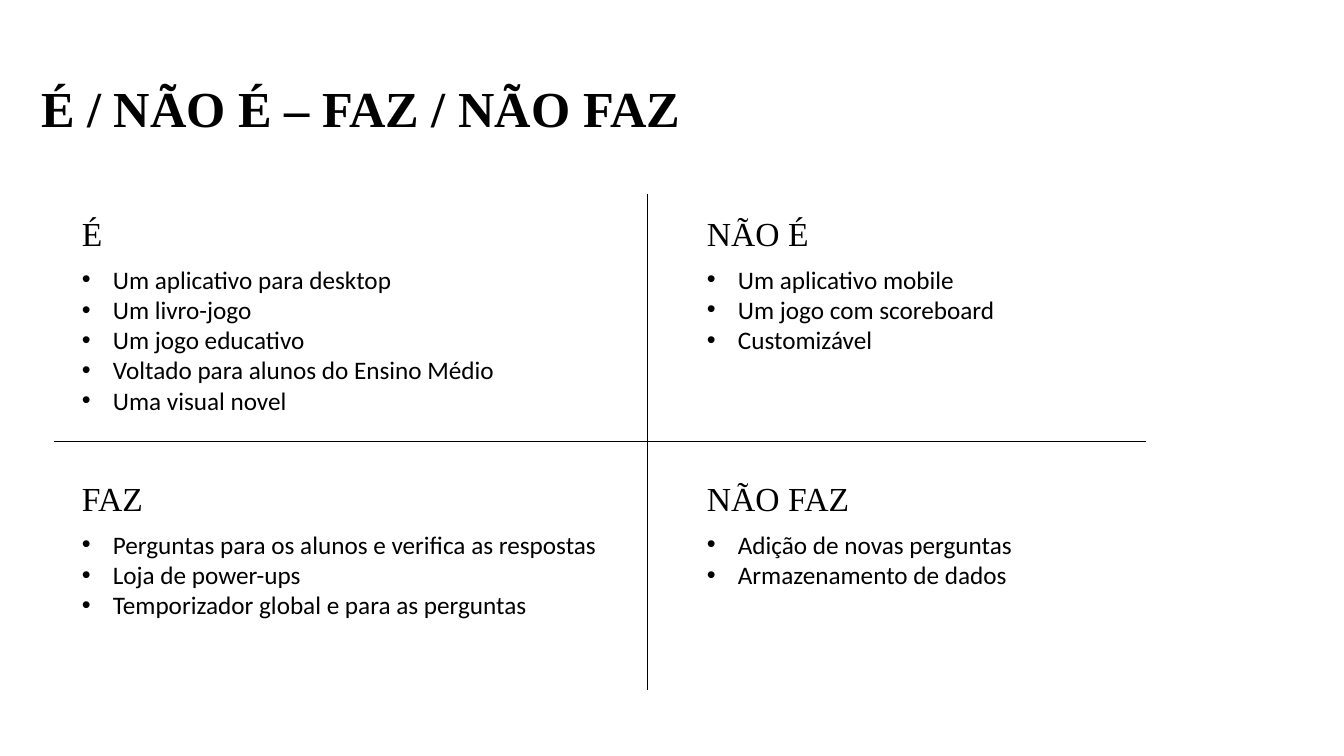
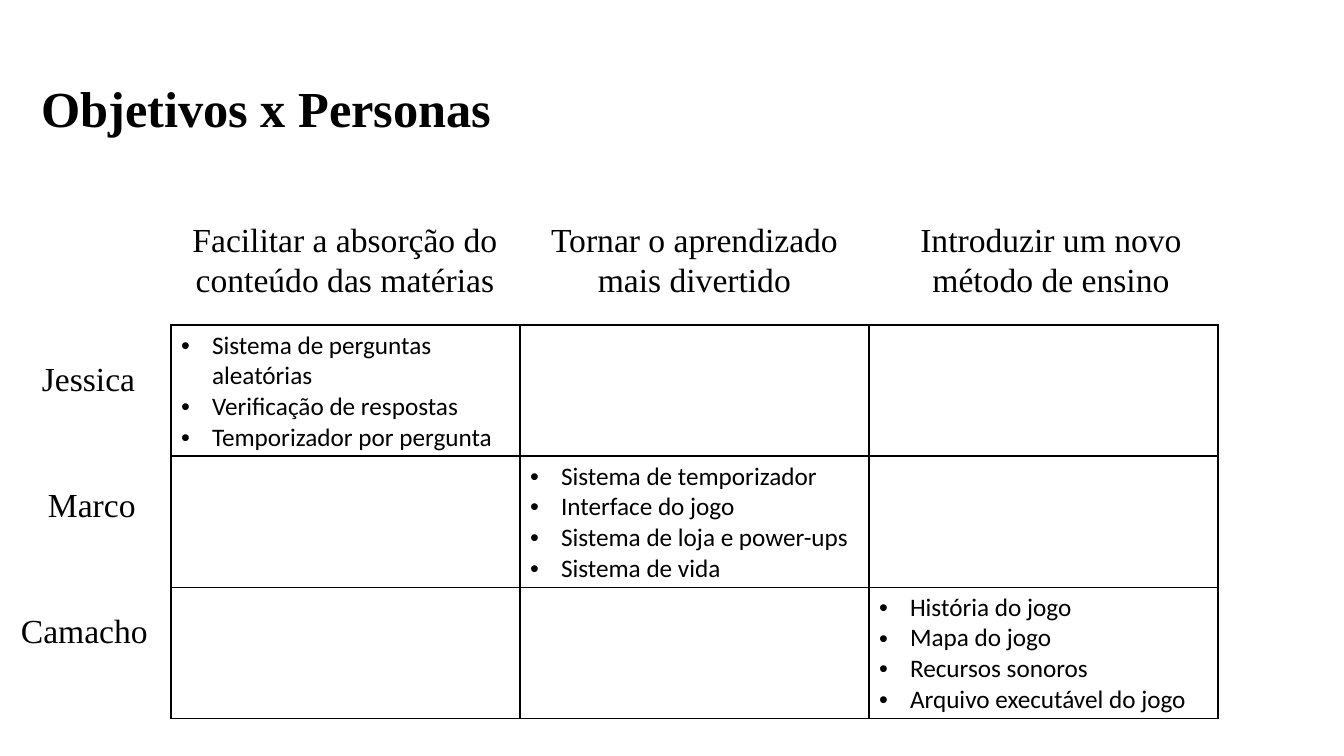
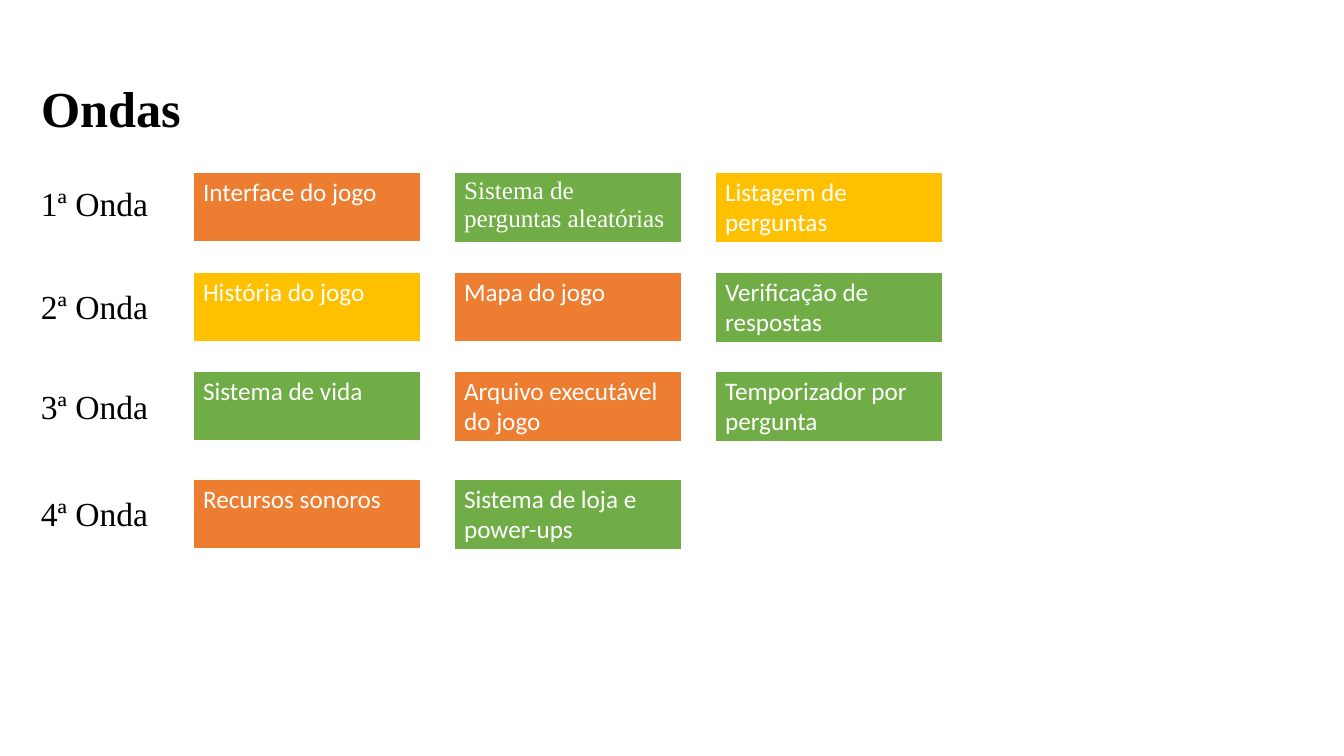
import dataclasses

import pptx
import pptx.dml.color
import pptx.enum.shapes
import pptx.enum.text
import pptx.oxml.ns
import pptx.util
from lxml import etree

EMU_PER_PX = 914400 / 100.8
ALIGN = pptx.enum.text.PP_ALIGN
ANCHOR = pptx.enum.text.MSO_ANCHOR
AUTO = pptx.enum.text.MSO_AUTO_SIZE


@dataclasses.dataclass(frozen=True)
class Theme:
    black: str = "000000"
    white: str = "FFFFFF"
    orange: str = "ED7D31"
    green: str = "70AD47"
    yellow: str = "FFC000"
    serif: str = "Times New Roman"
    sans: str = "Calibri"
    title: int = 36
    heading: int = 24
    body: int = 18
    rule: float = 0.5
    border: int = 1


T = Theme()


# Basic helpers
def px(n):
    return pptx.util.Emu(round(n * EMU_PER_PX))


def rgb(value):
    return pptx.dml.color.RGBColor.from_string(value)


def assign(obj, values):
    for name, value in values.items():
        setattr(obj, name, value)


def sub(parent, tag, **attrs):
    return etree.SubElement(parent, pptx.oxml.ns.qn(tag), attrs)


def add_bullet(p):
    pPr = p._p.get_or_add_pPr()
    indent = px(31)
    pPr.set("marL", str(indent))
    pPr.set("indent", str(-indent))
    sub(pPr, "a:buFont", typeface="Arial")
    sub(pPr, "a:buChar", char="•")


def write(tf, lines, size, font, color=T.black, bold=False, align=ALIGN.LEFT, bullets=False):
    for i, line in enumerate(lines):
        p = tf.paragraphs[0] if i == 0 else tf.add_paragraph()
        p.alignment = align
        if bullets:
            add_bullet(p)
        r = p.add_run()
        r.text = line
        assign(r.font, {"size": pptx.util.Pt(size), "name": font, "bold": bold})
        r.font.color.rgb = rgb(color)


# Slide elements
def add_slide(prs, title, width):
    s = prs.slides.add_slide(prs.slide_layouts[5])
    sp = s.shapes.title
    assign(sp, {"left": px(31), "top": px(72), "width": px(width), "height": px(72)})
    assign(sp.text_frame, {"word_wrap": False, "auto_size": AUTO.SHAPE_TO_FIT_TEXT,
                           "vertical_anchor": ANCHOR.TOP})
    write(sp.text_frame, [title], T.title, T.serif, bold=True)
    return s


def add_text(s, x, y, w, h, lines, size, font, **style):
    tf = s.shapes.add_textbox(px(x), px(y), px(w), px(h)).text_frame
    assign(tf, {"word_wrap": False, "auto_size": AUTO.SHAPE_TO_FIT_TEXT})
    write(tf, lines, size, font, **style)


def add_heading(s, x, y, w, *lines, align=ALIGN.LEFT):
    add_text(s, x, y, w, 10 + 41 * len(lines), lines, T.heading, T.serif, align=align)


def add_list(s, x, y, w, items):
    add_text(s, x, y, w, 10 + 30.5 * len(items), items, T.body, T.sans, bullets=True)


def add_rule(s, x1, y1, x2, y2):
    line = s.shapes.add_connector(pptx.enum.shapes.MSO_CONNECTOR.STRAIGHT,
                                  px(x1), px(y1), px(x2), px(y2))
    line.line.width = pptx.util.Pt(T.rule)
    line.line.color.rgb = rgb(T.black)
    sub(line._element.spPr, "a:effectLst")


def add_table(s, x, y, rows, cols, col_w, row_h, fill):
    table = s.shapes.add_table(rows, cols, px(x), px(y),
                               px(col_w * cols), px(row_h * rows)).table
    assign(table, {"first_row": False, "horz_banding": False})
    for col in table.columns:
        col.width = px(col_w)
    for row in table.rows:
        row.height = px(row_h)
    for cell in table.iter_cells():
        cell.fill.solid()
        cell.fill.fore_color.rgb = rgb(fill)
    return table


def add_borders(cell):
    tcPr = cell._tc.get_or_add_tcPr()
    for i, side in enumerate(("a:lnL", "a:lnR", "a:lnT", "a:lnB")):
        ln = etree.Element(pptx.oxml.ns.qn(side), w=str(pptx.util.Pt(T.border)))
        sub(sub(ln, "a:solidFill"), "a:srgbClr", val=T.black)
        tcPr.insert(i, ln)


def add_card(s, x, y, text, color, font):
    cell = add_table(s, x, y, 1, 1, 228, 70, color).cell(0, 0)
    write(cell.text_frame, [text], T.body, font, color=T.white)


# Slides
def build_scope(prs):
    s = add_slide(prs, "É / NÃO É – FAZ / NÃO FAZ", 666)
    quadrants = [
        (72, 208, "É", 41, 437, ["Um aplicativo para desktop", "Um livro-jogo", "Um jogo educativo",
                                 "Voltado para alunos do Ensino Médio", "Uma visual novel"]),
        (697, 208, "NÃO É", 123, 311, ["Um aplicativo mobile", "Um jogo com scoreboard",
                                       "Customizável"]),
        (72, 473, "FAZ", 82, 541, ["Perguntas para os alunos e verifica as respostas",
                                   "Loja de power-ups", "Temporizador global e para as perguntas"]),
        (697, 473, "NÃO FAZ", 164, 330, ["Adição de novas perguntas", "Armazenamento de dados"]),
    ]
    for x, y, heading, heading_w, list_w, items in quadrants:
        add_heading(s, x, y, heading_w, heading)
        add_list(s, x, y + 51, list_w, items)
    add_rule(s, 647, 194, 647, 690)
    add_rule(s, 54, 441, 1146, 441)


def build_goals(prs):
    s = add_slide(prs, "Objetivos x Personas", 488)
    table = add_table(s, 171, 325, 3, 3, 349, 131, T.white)
    for cell in table.iter_cells():
        add_borders(cell)
    features = [
        ["Sistema de perguntas aleatórias", "Verificação de respostas", "Temporizador por pergunta"],
        ["Sistema de temporizador", "Interface do jogo", "Sistema de loja e power-ups",
         "Sistema de vida"],
        ["História do jogo", "Mapa do jogo", "Recursos sonoros", "Arquivo executável do jogo"],
    ]
    for i, items in enumerate(features):
        write(table.cell(i, i).text_frame, items, T.body, T.sans, bullets=True)

    personas = [(32, 115, "Jessica"), (38, 109, "Marco"), (11, 148, "Camacho")]
    for i, (x, w, name) in enumerate(personas):
        add_heading(s, x, 353 + 126 * i, w, name)

    goals = [
        (181, 328, "Facilitar a absorção do", "conteúdo das matérias"),
        (540, 309, "Tornar o aprendizado", "mais divertido"),
        (909, 284, "Introduzir um novo", "método de ensino"),
    ]
    for x, w, *lines in goals:
        add_heading(s, x, 214, w, *lines, align=ALIGN.CENTER)


def build_waves(prs):
    s = add_slide(prs, "Ondas", 161)
    waves = [
        (172, 178, [("Interface do jogo", T.orange, T.sans),
                    ("Sistema de perguntas aleatórias", T.green, T.serif),
                    ("Listagem de perguntas", T.yellow, T.sans)]),
        (272, 281, [("História do jogo", T.yellow, T.sans),
                    ("Mapa do jogo", T.orange, T.sans),
                    ("Verificação de respostas", T.green, T.sans)]),
        (371, 381, [("Sistema de vida", T.green, T.sans),
                    ("Arquivo executável do jogo", T.orange, T.sans),
                    ("Temporizador por pergunta", T.green, T.sans)]),
        (479, 488, [("Recursos sonoros", T.orange, T.sans),
                    ("Sistema de loja e power-ups", T.green, T.sans)]),
    ]
    for number, (card_y, label_y, cards) in enumerate(waves, 1):
        add_heading(s, 31, label_y, 129, f"{number}ª Onda")
        for col, (text, color, font) in enumerate(cards):
            add_card(s, 193 + 261 * col, card_y, text, color, font)


def main():
    prs = pptx.Presentation()
    assign(prs, {"slide_width": px(1344), "slide_height": px(756)})
    build_scope(prs)
    build_goals(prs)
    build_waves(prs)
    prs.save("out.pptx")


main()
